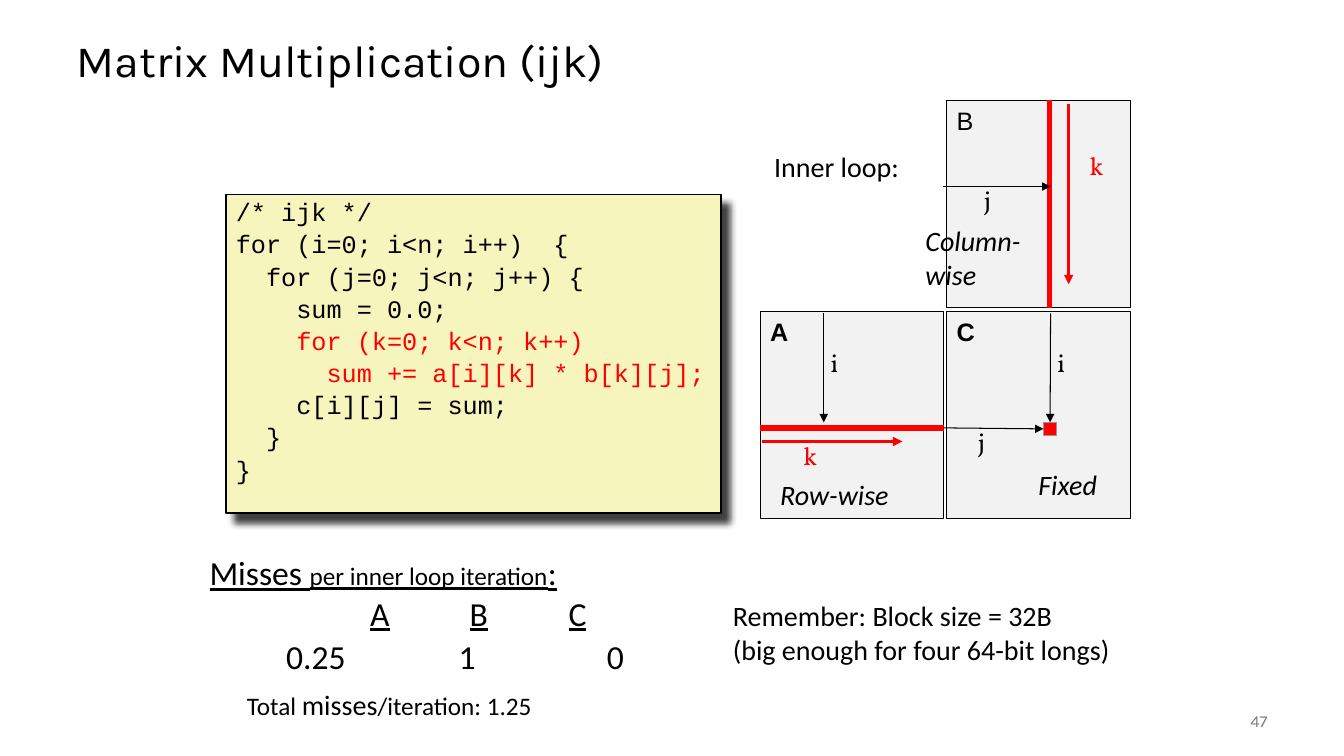
from dataclasses import dataclass
from lxml.etree import SubElement
from pptx import Presentation
from pptx.dml.color import RGBColor
from pptx.enum.shapes import MSO_CONNECTOR, MSO_SHAPE
from pptx.enum.text import MSO_ANCHOR, PP_ALIGN
from pptx.oxml import parse_xml
from pptx.oxml.ns import nsdecls, qn
from pptx.util import Inches, Pt


@dataclass(frozen=True)
class Theme:
    ink: str = "000000"
    accent: str = "FF0000"
    code_fill: str = "F6F5BD"
    matrix_fill: str = "F2F2F2"
    cell_edge: str = "969696"
    muted: str = "808080"
    heading: str = "Karla"
    body: str = "Calibri"
    code: str = "Courier New"
    name: str = "Arial"
    index: str = "Vollkorn"
    title_size: int = 32
    large: int = 24
    medium: int = 20
    small: int = 18
    number: int = 12


theme = Theme()
deck = Presentation()
deck.slide_width, deck.slide_height = Inches(13.33), Inches(7.5)
column, row = deck.slide_width / 133.3, deck.slide_height / 75
page = deck.slides.add_slide(deck.slide_layouts[5])


def add_box(left, top, width, height, fill=None, edge=theme.ink, weight=0.75):
    area = int(left * column), int(top * row), int(width * column), int(height * row)
    if fill:
        box = page.shapes.add_shape(MSO_SHAPE.RECTANGLE, *area)
        box.shadow.inherit = False
        box.fill.solid()
        box.fill.fore_color.rgb = RGBColor.from_string(fill)
        box.line.color.rgb = RGBColor.from_string(edge)
        box.line.width = Pt(weight)
    else:
        box = page.shapes.add_textbox(*area)
    box.text_frame.word_wrap = True
    box.text_frame.vertical_anchor = MSO_ANCHOR.TOP
    return box


def write(box, lines, face, size, color=theme.ink, bold=False, italic=False,
          align=PP_ALIGN.LEFT, spacing=None):
    frame = box.text_frame
    for number, spans in enumerate(lines):
        para = frame.add_paragraph() if number else frame.paragraphs[0]
        para.alignment = align
        para.line_spacing = spacing
        for text, changes in spans:
            span = para.add_run()
            span.text = text
            span.font.name = face
            span.font.size = Pt(changes.get("size", size))
            span.font.bold = bold
            span.font.italic = italic
            span.font.underline = changes.get("underline", False)
            span.font.color.rgb = RGBColor.from_string(changes.get("color", color))


title = page.shapes.title
title.left, title.top = int(6.6 * column), int(2.5 * row)
title.width, title.height = int(120 * column), int(7.5 * row)
title.text_frame.vertical_anchor = MSO_ANCHOR.MIDDLE
write(title, [[("Matrix Multiplication (ijk)", {})]], theme.heading, theme.title_size, spacing=0.9)

red = {"color": theme.accent}
code_lines = [
    [("/* ijk */", {})],
    [("for (i=0; i<n; i++)  {", {})],
    [("  for (j=0; j<n; j++) {", {})],
    [("    sum = 0.0;", {})],
    [("    for (k=0; k<n; k++)", red)],
    [("      ", {}), ("sum += a[i][k] * b[k][j];", red)],
    [("    c[i][j] = sum;", {})],
    [("  }", {})],
    [("}", {})],
]
code_box = add_box(22.4, 19.3, 49.1, 31.6, theme.code_fill, weight=1)
code_box.text_frame.margin_top = 0
code_properties = code_box.fill._xPr
code_properties.remove(code_properties.find(qn("a:effectLst")))
code_properties.append(parse_xml(
    f'<a:effectLst {nsdecls("a")}><a:outerShdw blurRad="{Pt(5)}" dist="{Pt(8.5)}" dir="2700000" '
    f'algn="ctr" rotWithShape="0"><a:srgbClr val="{theme.ink}"><a:alpha val="75000"/></a:srgbClr>'
    '</a:outerShdw></a:effectLst>'))
write(code_box, code_lines, theme.code, theme.small, spacing=Pt(23))

underlined = {"underline": True}
misses = add_box(19.8, 54.3, 62.7, 9.5)
write(misses, [
    [("Misses ", underlined), ("per inner loop iteration", {"underline": True, "size": theme.small}),
     (":", underlined)],
    [(text, changes) for name in "ABC" for text, changes in (("\t", {}), (name, underlined))],
], theme.body, theme.large)
tab_list = SubElement(misses.text_frame.paragraphs[1]._p.get_or_add_pPr(), qn("a:tabLst"))
for position in range(3):
    SubElement(tab_list, qn("a:tab"), pos=str(int((16.9 + 9.8 * position) * column)), algn="ctr")

for left, value in ((27.4, "0.25"), (44.5, "1"), (59.2, "0")):
    write(add_box(left, 62.6, 9, 5), [[(value, {})]], theme.body, theme.large)
write(add_box(23.5, 67.7, 36, 4.4),
      [[("Total ", {}), ("misses", {"size": theme.medium}), ("/iteration: 1.25", {})]],
      theme.body, theme.small)

matrix_left, matrix_top, matrix_width, matrix_height = 75.4, 10, 18.2, 20.5
step_across, step_down = 18.5, 20.9
for name, across, down, bold in (("A", 0, 1, True), ("B", 1, 0, False), ("C", 1, 1, True)):
    matrix = add_box(matrix_left + across * step_across, matrix_top + down * step_down,
                     matrix_width, matrix_height, theme.matrix_fill)
    write(matrix, [[(name, {})]], theme.name, theme.small, bold=bold)

column_bar = add_box(103.9, matrix_top, 0.4, matrix_height, theme.accent, theme.accent)
row_bar = add_box(matrix_left, 42.2, matrix_width, 0.5, theme.accent, theme.accent)
fixed_cell = add_box(103.5, 41.9, 1.3, 1.3, theme.accent, theme.cell_edge)

arrows = [
    (81.7, 31.1, 81.7, 41.9, theme.ink, 0.75, None, None),
    (75.6, 43.8, 89.5, 43.8, theme.accent, 2.25, None, None),
    (106, 10.3, 106, 28.2, theme.accent, 2.25, None, None),
    (93.5, 18.5, 104.2, 18.5, theme.ink, 0.75, None, None),
    (104.2, 31.1, 104.2, 41.9, theme.ink, 0.75, None, (fixed_cell, 0)),
    (93.6, 42.5, 103.5, 42.5, theme.ink, 0.75, (row_bar, 3), (fixed_cell, 1)),
]
for start_x, start_y, end_x, end_y, color, weight, start, end in arrows:
    arrow = page.shapes.add_connector(
        MSO_CONNECTOR.STRAIGHT, int(start_x * column), int(start_y * row),
        int(end_x * column), int(end_y * row))
    if start:
        arrow.begin_connect(*start)
    if end:
        arrow.end_connect(*end)
    arrow.line.color.rgb = RGBColor.from_string(color)
    arrow.line.width = Pt(weight)
    SubElement(arrow.line._get_or_add_ln(), qn("a:tailEnd"), type="triangle")
    SubElement(arrow._element.spPr, qn("a:effectLst"))

for left, top, letter, color in (
    (81.4, 34, "i", theme.ink), (103.9, 34, "i", theme.ink),
    (96.6, 17.8, "j", theme.ink), (96, 41.8, "j", theme.ink),
    (78.7, 43.2, "k", theme.accent), (107.1, 14.4, "k", theme.accent),
):
    write(add_box(left, top, 4, 4.1), [[(letter, {})]], theme.index, theme.small, color)

for left, top, width, height, lines, italic in (
    (75.8, 14.3, 15.5, 4.3, ["Inner loop:"], False),
    (76.4, 46.9, 14, 4.3, ["Row-wise"], True),
    (102, 45.9, 9, 4.3, ["Fixed"], True),
    (90.8, 21.7, 12.2, 7.7, ["Column-", "wise"], True),
    (71.7, 58.9, 41.7, 7.7, ["Remember: Block size = 32B", "(big enough for four 64-bit longs)"], False),
):
    write(add_box(left, top, width, height), [[(line, {})] for line in lines],
          theme.body, theme.medium, italic=italic)

page_number = add_box(116.7, 69.5, 10, 4)
page_number.text_frame.vertical_anchor = MSO_ANCHOR.MIDDLE
write(page_number, [[("47", {})]], theme.heading, theme.number, theme.muted, align=PP_ALIGN.RIGHT)

deck.save("out.pptx")
